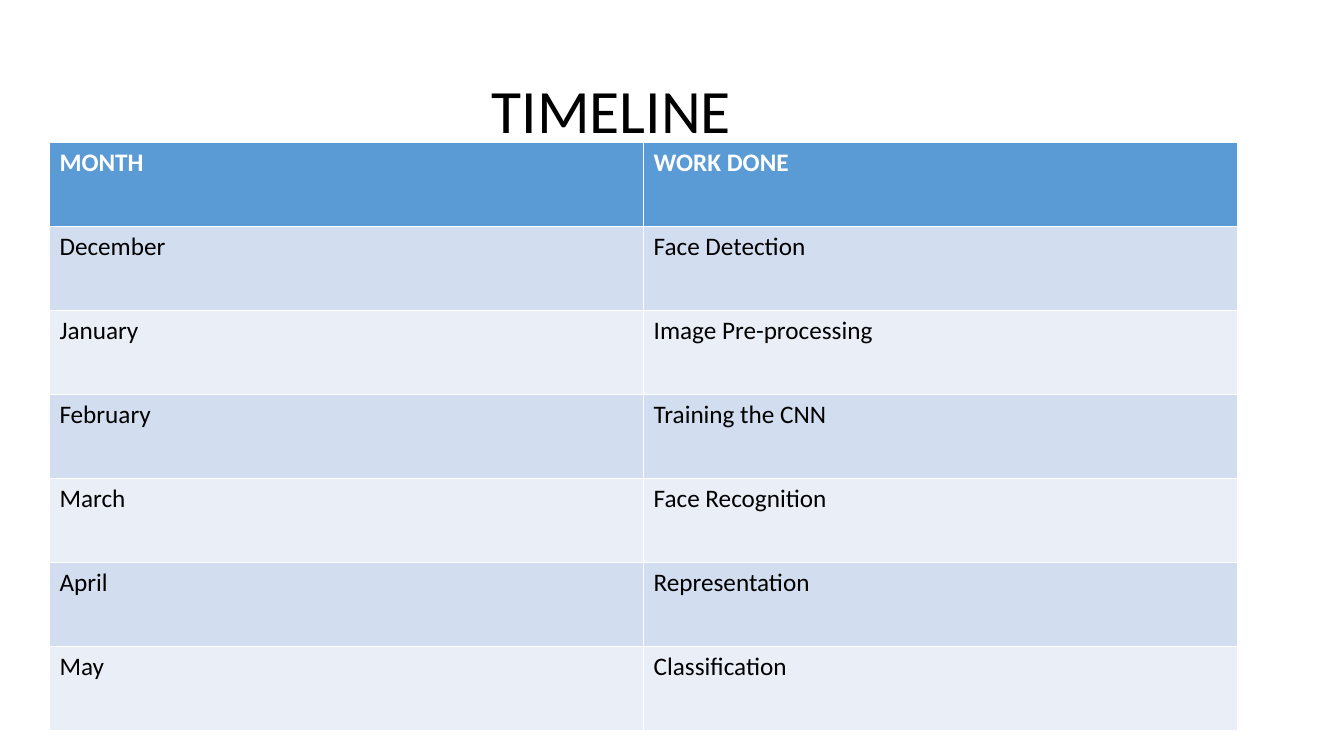
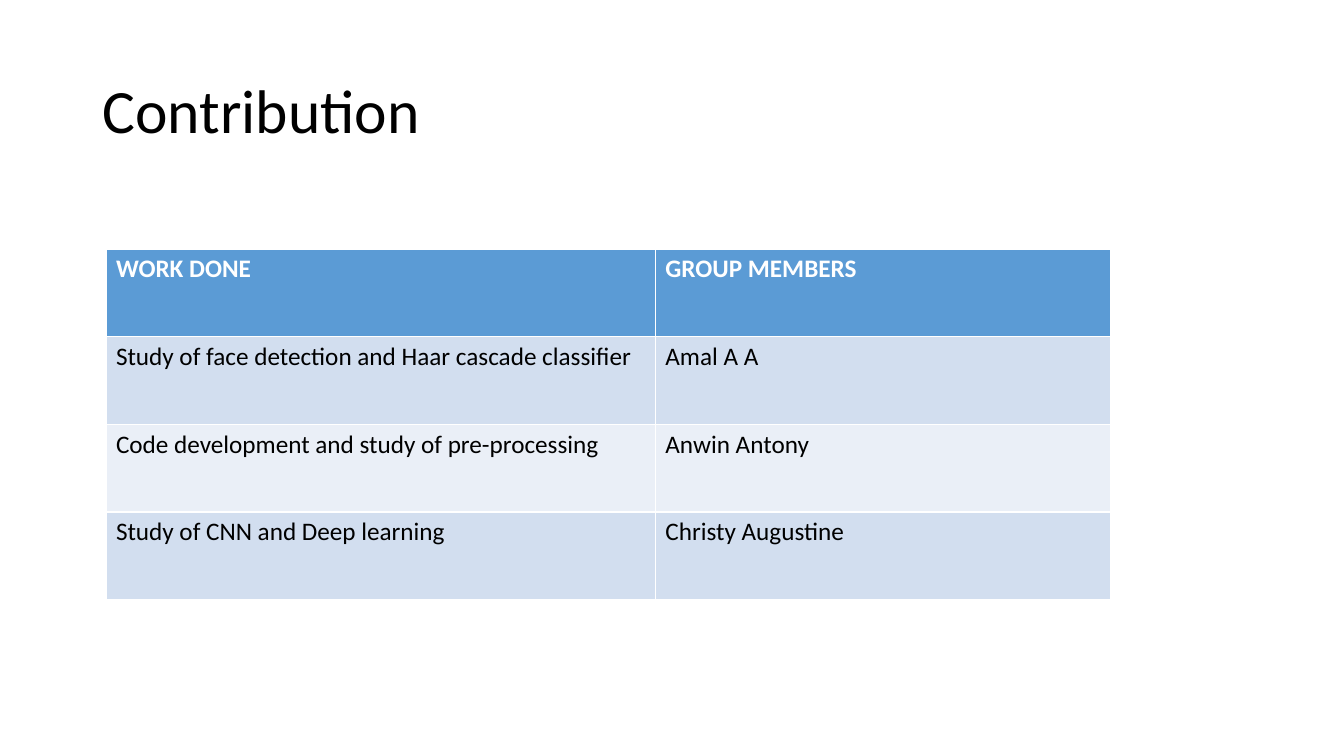
from pptx import Presentation
from pptx.dml.color import RGBColor
from pptx.enum.text import MSO_ANCHOR, MSO_AUTO_SIZE, PP_ALIGN
from pptx.util import Inches, Pt

WIDTH, HEIGHT = Inches(13.333), Inches(7.5)
FONT = "Calibri"
COLORS = {
    "header": "5B9BD5",
    "band_dark": "D2DEEF",
    "band_light": "EAEFF7",
    "header_text": "FFFFFF",
    "text": "000000",
}
TIMELINE = [
    ("MONTH", "WORK DONE"),
    ("December", "Face Detection"),
    ("January", "Image Pre-processing"),
    ("February", "Training the CNN"),
    ("March", "Face Recognition"),
    ("April", "Representation"),
    ("May", "Classification"),
]
CONTRIBUTIONS = [
    ("WORK DONE", "GROUP MEMBERS"),
    ("Study of face detection and Haar cascade classifier", "Amal A A"),
    ("Code development and study of pre-processing", "Anwin Antony"),
    ("Study of CNN and Deep learning", "Christy Augustine"),
]


def across(percent):
    """Return a share of the slide width."""
    return round(WIDTH * percent / 100)


def down(percent):
    """Return a share of the slide height."""
    return round(HEIGHT * percent / 100)


def color(name):
    """Return the named palette colour."""
    return RGBColor.from_string(COLORS[name])


def style_text(paragraph, size, color_name, bold=False):
    """Format every run of a paragraph."""
    for run in paragraph.runs:
        run.font.name = FONT
        run.font.size = Pt(size)
        run.font.bold = bold
        run.font.color.rgb = color(color_name)


def add_titled_slide(deck, heading, indent=0):
    """Add a slide with a left-aligned title, indented by a share of the width."""
    slide = deck.slides.add_slide(deck.slide_layouts.get_by_name("Title Only"))
    title = slide.shapes.title
    title.left, title.top = across(6.88), down(5.33)
    title.width, title.height = across(86.25), down(19.33)
    frame = title.text_frame
    frame.text = heading
    frame.word_wrap = True
    frame.auto_size = MSO_AUTO_SIZE.NONE
    frame.vertical_anchor = MSO_ANCHOR.MIDDLE
    paragraph = frame.paragraphs[0]
    paragraph.alignment = PP_ALIGN.LEFT
    paragraph.line_spacing = 0.9
    paragraph._p.get_or_add_pPr().set("marL", str(across(indent)))
    style_text(paragraph, 44, "text")
    return slide


def add_banded_table(slide, entries, left, top, column_shares, height):
    """Add a table with a header row, banded rows and equal row heights."""
    table = slide.shapes.add_table(
        len(entries), len(column_shares), across(left), down(top),
        across(sum(column_shares)), down(height)).table
    for column, share in zip(table.columns, column_shares):
        column.width = across(share)
    for row_index, entry in enumerate(entries):
        is_header = row_index == 0
        band = "band_dark" if row_index % 2 else "band_light"
        table.rows[row_index].height = down(height / len(entries))
        for cell, wording in zip(table.rows[row_index].cells, entry):
            cell.text = wording
            cell.fill.solid()
            cell.fill.fore_color.rgb = color("header" if is_header else band)
            style_text(cell.text_frame.paragraphs[0], 18,
                       "header_text" if is_header else "text", is_header)


def main():
    """Build and save the two slides."""
    deck = Presentation()
    deck.slide_width, deck.slide_height = WIDTH, HEIGHT

    timeline = add_titled_slide(deck, "TIMELINE", indent=28.95)
    add_banded_table(timeline, TIMELINE, 3.68, 18.8, (44.21, 44.21), 77.87)

    contribution = add_titled_slide(deck, "Contribution")
    add_banded_table(contribution, CONTRIBUTIONS, 7.88, 32.93, (40.88, 33.9), 46.4)

    deck.save("out.pptx")


main()
